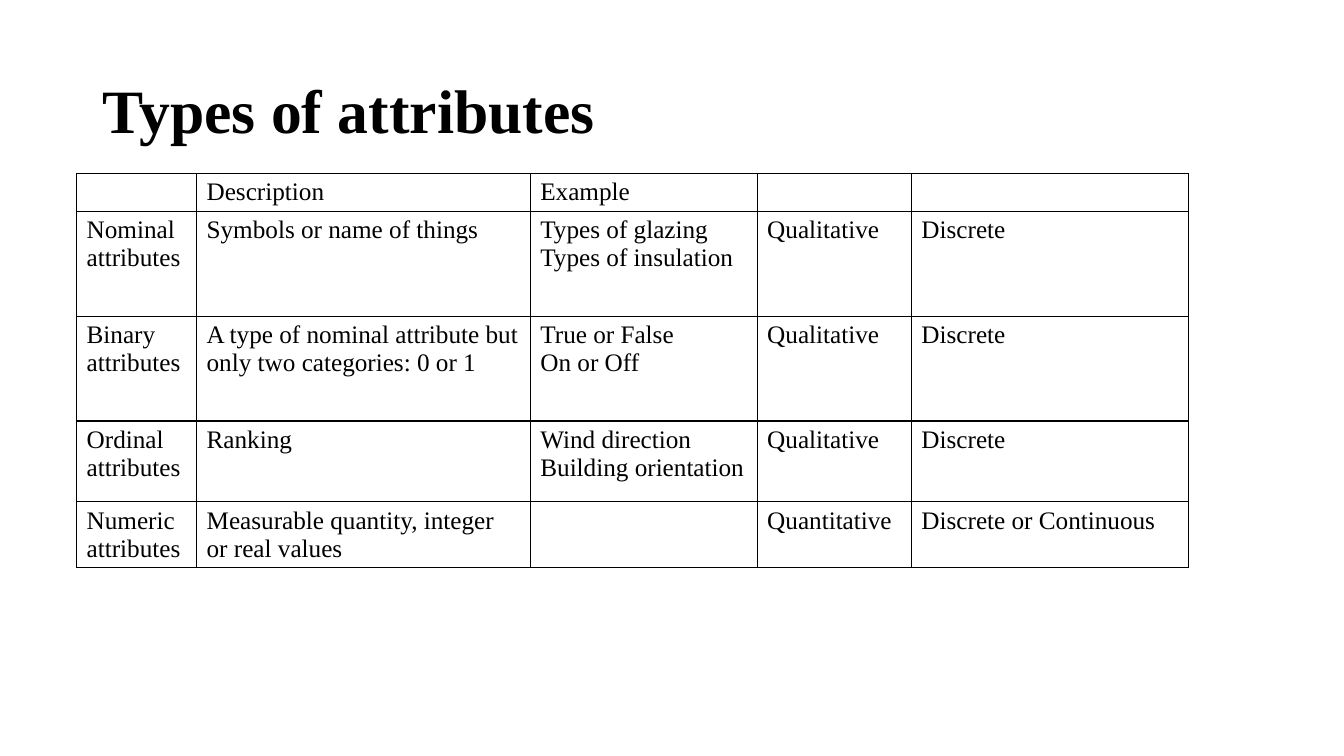
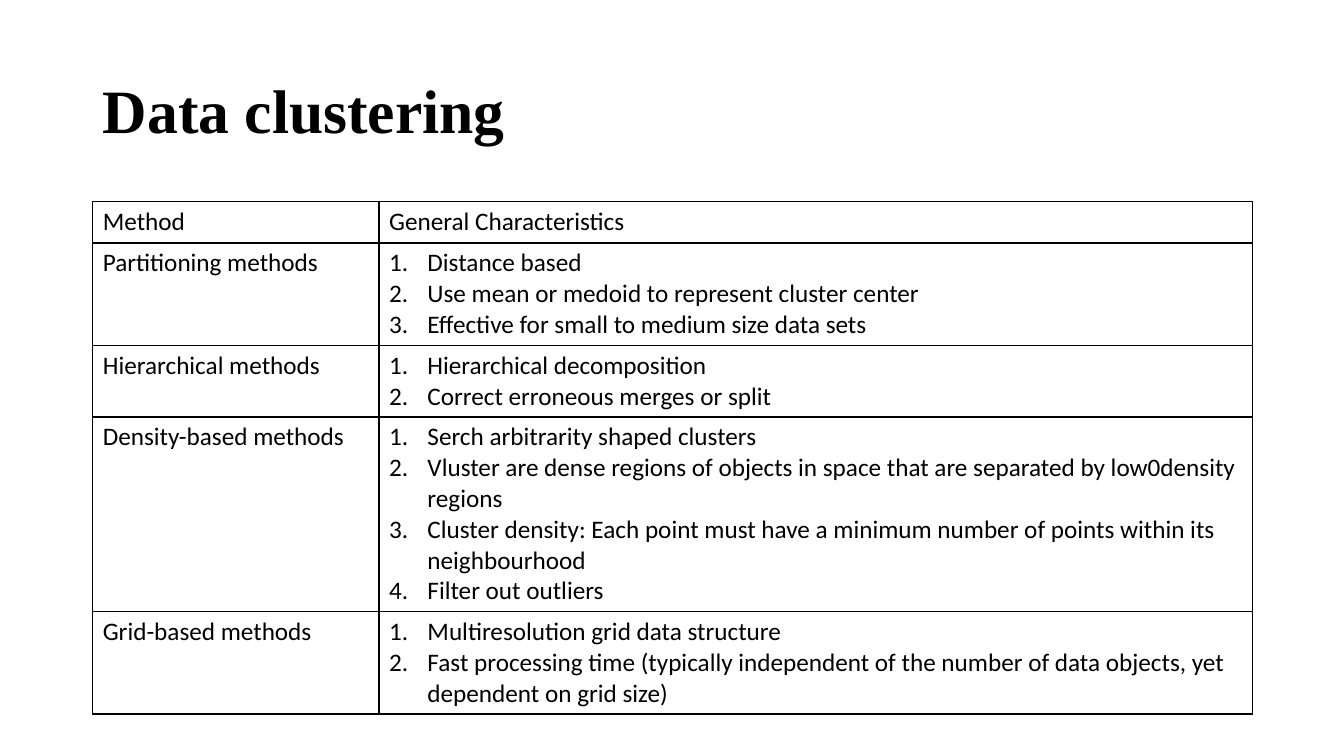
from lxml import etree
from pptx import Presentation
from pptx.dml.color import RGBColor
from pptx.enum import text
from pptx.oxml import ns
from pptx.util import Inches, Pt

# Content: a cell is a string, a list of lines, or a Numbered list
BLACK = "000000"
SERIF, SANS = "Times New Roman", "Calibri"


class Numbered(list):
    """Lines that carry automatic numbers."""


ATTRIBUTES = [
    ["", "Description", "Example", "", ""],
    ["Nominal attributes", "Symbols or name of things",
     ["Types of glazing", "Types of insulation"], "Qualitative", "Discrete"],
    ["Binary attributes", "A type of nominal attribute but only two categories: 0 or 1",
     ["True or False", "On or Off"], "Qualitative", "Discrete"],
    ["Ordinal attributes", "Ranking",
     ["Wind direction", "Building orientation"], "Qualitative", "Discrete"],
    ["Numeric attributes", "Measurable quantity, integer or real values",
     "", "Quantitative", "Discrete or Continuous"],
]
CLUSTERING = [
    ["Method", "General Characteristics"],
    ["Partitioning methods", Numbered([
        "Distance based",
        "Use mean or medoid to represent cluster center",
        "Effective for small to medium size data sets"])],
    ["Hierarchical methods", Numbered([
        "Hierarchical decomposition",
        "Correct erroneous merges or split"])],
    ["Density-based methods", Numbered([
        "Serch arbitrarity shaped clusters",
        "Vluster are dense regions of objects in space that are separated by low0density regions",
        "Cluster density: Each point must have a minimum number of points within its neighbourhood",
        "Filter out outliers"])],
    ["Grid-based methods", Numbered([
        "Multiresolution grid data structure",
        "Fast processing time (typically independent of the number of data objects, "
        "yet dependent on grid size)"])],
]
SLIDES = [
    dict(title="Types of attributes", cells=ATTRIBUTES, font=SERIF, corner=(0.76, 1.72),
         widths=[1.19, 3.31, 2.25, 1.53, 2.75], heights=[0.32, 1.04, 1.04, 0.8, 0.56]),
    dict(title="Data clustering", cells=CLUSTERING, font=SANS, corner=(0.92, 2),
         widths=[2.84, 8.66], heights=[0.41] * 5),
]


def color(value):
    return RGBColor.from_string(value)


def add_xml(parent, tag, **attributes):
    return etree.SubElement(parent, ns.qn(tag), attributes)


def write(frame, content, font, size, bold=False, spacing=None):
    lines = [content] if isinstance(content, str) else content
    for index, line in enumerate(lines):
        paragraph = frame.add_paragraph() if index else frame.paragraphs[0]
        paragraph.alignment = text.PP_ALIGN.LEFT
        if spacing:
            paragraph.line_spacing = spacing
        if isinstance(content, Numbered):
            properties = paragraph._p.get_or_add_pPr()
            indent = Inches(0.38)
            properties.set("marL", str(indent))
            properties.set("indent", str(-indent))
            add_xml(properties, "a:buFont", typeface="+mj-lt")
            add_xml(properties, "a:buAutoNum", type="arabicPeriod")
        if line:
            run = paragraph.add_run()
            run.text = line
            run.font.name, run.font.size, run.font.bold = font, Pt(size), bold
            run.font.color.rgb = color(BLACK)
        else:
            # An empty cell keeps the table's font so its row does not grow
            end = add_xml(paragraph._p, "a:endParaRPr", sz=str(size * 100))
            add_xml(end, "a:latin", typeface=font)


def outline(cell):
    properties = cell._tc.get_or_add_tcPr()
    for side in ("a:lnL", "a:lnR", "a:lnT", "a:lnB"):
        line = add_xml(properties, side, w=str(Pt(1)))
        add_xml(add_xml(line, "a:solidFill"), "a:srgbClr", val=BLACK)


def add_title(slide, wording):
    title = slide.shapes.title
    title.left, title.top = Inches(0.92), Inches(0.4)
    title.width, title.height = Inches(11.5), Inches(1.45)
    title.text_frame.vertical_anchor = text.MSO_ANCHOR.MIDDLE
    write(title.text_frame, wording, SERIF, 44, bold=True, spacing=0.9)


def add_grid(slide, cells, font, corner, widths, heights):
    left, top = corner
    table = slide.shapes.add_table(
        len(heights), len(widths), Inches(left), Inches(top),
        Inches(sum(widths)), Inches(sum(heights))).table
    table.first_row = table.horz_banding = False
    for column, width in zip(table.columns, widths):
        column.width = Inches(width)
    for row, height, contents in zip(table.rows, heights, cells):
        row.height = Inches(height)
        for cell, content in zip(row.cells, contents):
            outline(cell)
            cell.fill.background()
            write(cell.text_frame, content, font, 18)


def main():
    deck = Presentation()
    deck.slide_width, deck.slide_height = Inches(13.33), Inches(7.5)
    for page in SLIDES:
        slide = deck.slides.add_slide(deck.slide_layouts[5])
        add_title(slide, page["title"])
        add_grid(slide, page["cells"], page["font"], page["corner"],
                 page["widths"], page["heights"])
    deck.save("out.pptx")


if __name__ == "__main__":
    main()
